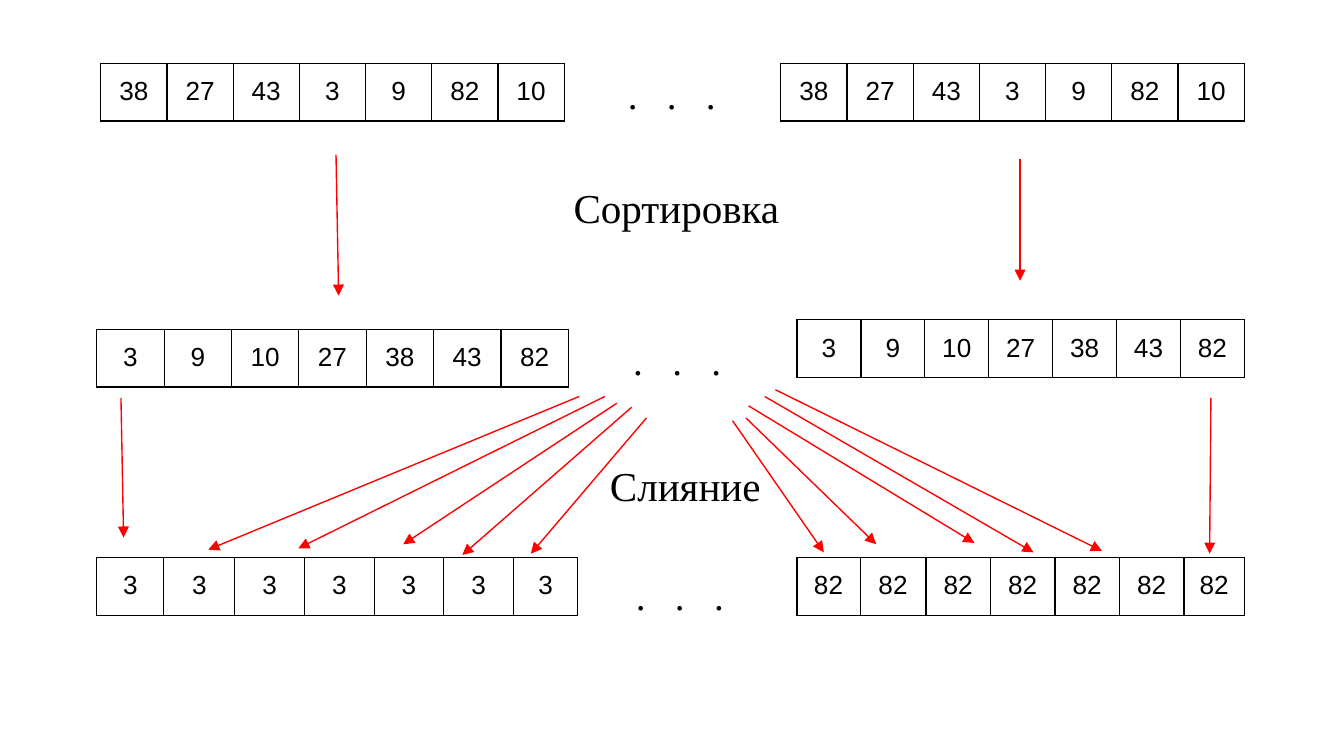
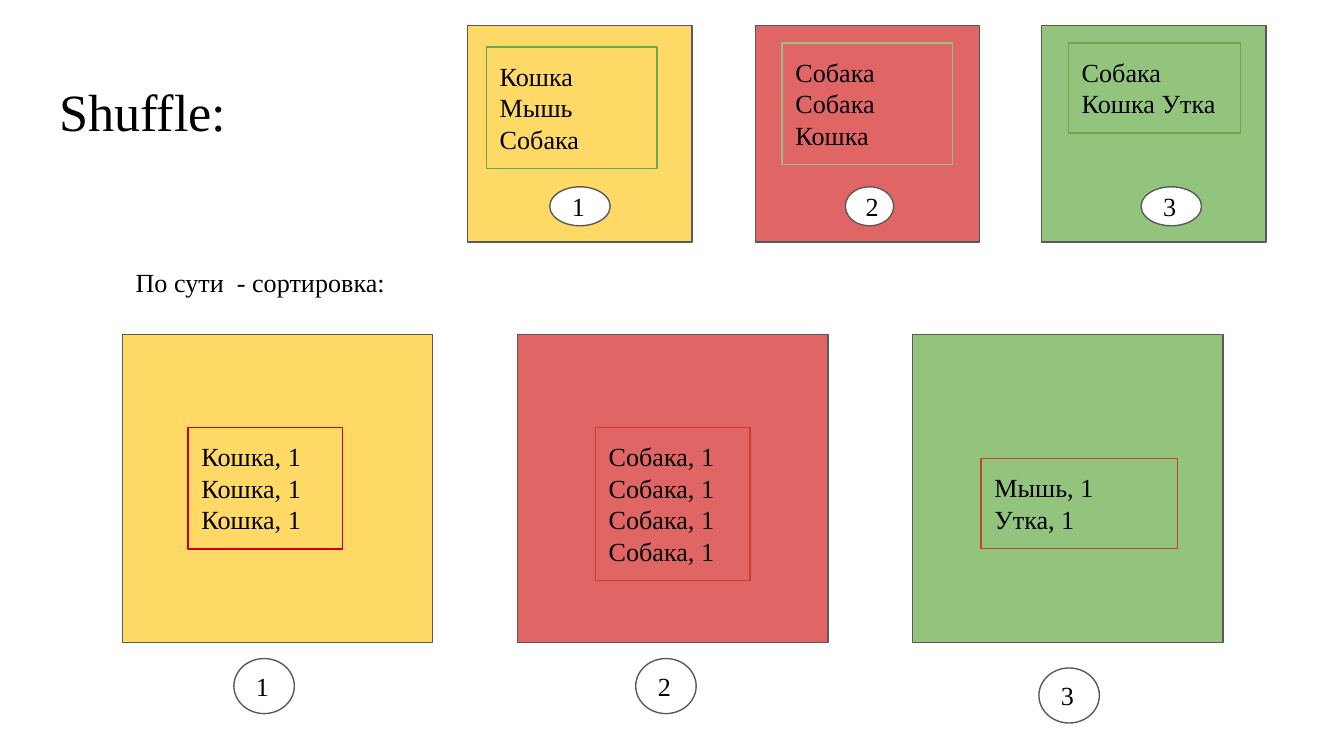
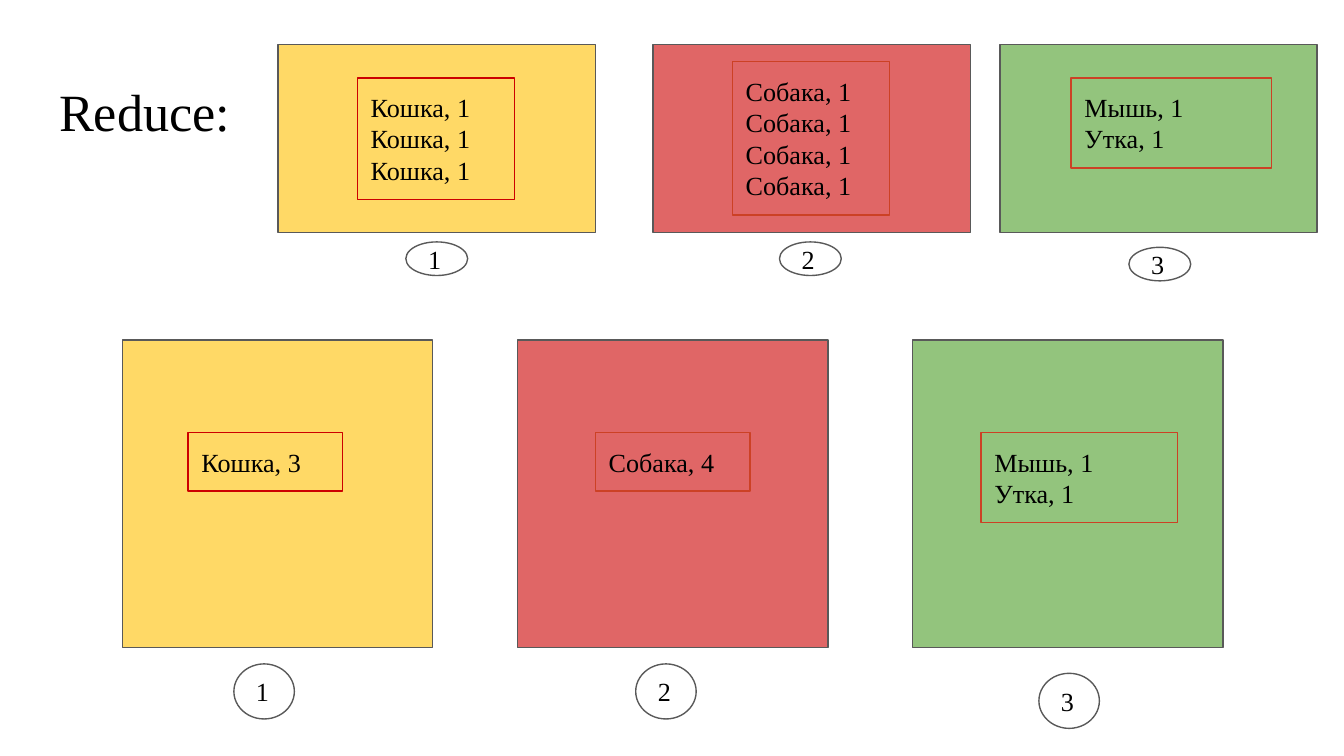
from lxml import etree
from pptx import Presentation
from pptx.dml.color import RGBColor
from pptx.enum.shapes import MSO_CONNECTOR, MSO_SHAPE
from pptx.enum.text import MSO_ANCHOR, MSO_AUTO_SIZE as FIT, PP_ALIGN as ALIGN
from pptx.oxml.ns import qn
from pptx.util import Inches, Pt

# Theme: colours, fonts, sizes and common measures
THEME = dict(
    ink="000000", paper="FFFFFF", edge="595959", arrow="FF0000",
    panels=("FFD966", "E06666", "93C47D"),
    word_edges=("6AA84F", "93C47D", "6AA84F"),
    pair_edges=("CC0000", "CC4125", "CC4125"),
    serif="Times New Roman", sans="Arial",
    title=28, stage=22, dots=21, body=14,
    line=0.75, inset=0.1, line_height=0.235,
)
TITLE_BOX = (0.34, 0.49, 9.32, 0.63)

# Slide 1: arrays, stage names and arrows
UNSORTED = [38, 27, 43, 3, 9, 82, 10]
SORTED = sorted(UNSORTED)
EVEN = [1] * 7
ARRAYS = [  # left, top, width, values, column weights
    (0.75, 0.47, 3.45, UNSORTED, EVEN),
    (5.81, 0.47, 3.45, UNSORTED, EVEN),
    (0.72, 2.45, 3.51, SORTED, EVEN),
    (5.93, 2.38, 3.33, SORTED, EVEN),
    (0.72, 4.15, 3.58, [3] * 7, [50, 53, 52, 52, 52, 52, 48]),
    (5.93, 4.15, 3.33, [82] * 7, [47, 49, 48, 48, 48, 48, 45]),
]
ROW_HEIGHT = 0.43
DOTS = [(4.42, 0.42), (4.46, 2.4), (4.48, 4.15)]
STAGES = [("Сортировка", (4.17, 1.26, 1.76, 0.57)),
          ("Слияние", (4.44, 3.33, 1.35, 0.57))]
SORT_ARROWS = [(2.5, 1.15, 2.52, 2.2), (7.59, 1.18, 7.59, 2.09)]
MERGE_ARROWS = [
    (0.9, 2.96, 0.92, 4), (4.31, 2.95, 1.55, 4.09), (4.5, 2.95, 2.22, 4.08),
    (4.59, 3, 3, 4.05), (4.7, 3.03, 3.44, 4.13), (4.81, 3.11, 3.95, 4.12),
    (5.45, 3.13, 6.13, 4.11), (5.55, 3.11, 6.52, 4.05), (5.57, 3.02, 7.25, 4.04),
    (5.69, 2.95, 7.69, 4.11), (5.77, 2.9, 8.2, 4.1), (9.01, 2.96, 9, 4.12),
]

# Slides 2 and 3: rows of panels; list and badge places are offsets in a panel
WORDS = [["Кошка Мышь Собака"], ["Собака Собака Кошка"], ["Собака Кошка Утка"]]
PAIRS = [["Кошка, 1"] * 3, ["Собака, 1"] * 4, ["Мышь, 1", "Утка, 1"]]
TOTALS = [["Кошка, 3"], ["Собака, 4"], ["Мышь, 1", "Утка, 1"]]

INPUT_ROW = dict(
    lefts=(3.48, 5.62, 7.75), size=(1.67, 1.61), edges=THEME["word_edges"],
    lists=[(0.14, 0.16, 1.27), (0.2, 0.13, 1.27), (0.2, 0.13, 1.28)],
    badges=[(0.61, 1.2, 0.45, 0.29), (0.67, 1.2, 0.36, 0.29), (0.74, 1.2, 0.45, 0.29)],
)
PAIR_ROW = dict(
    lefts=(2.07, 4.86, 7.44), size=(2.36, 1.4), edges=THEME["pair_edges"],
    lists=[(0.59, 0.25, 1.17), (0.59, 0.13, 1.17), (0.53, 0.25, 1.49)],
    badges=[(0.95, 1.47, 0.46, 0.25), (0.94, 1.47, 0.46, 0.25), (0.96, 1.51, 0.46, 0.25)],
)
RESULT_ROW = dict(
    lefts=(0.91, 3.85, 6.79), size=(2.31, 2.29), edges=THEME["pair_edges"],
    lists=[(0.49, 0.69, 1.15), (0.58, 0.69, 1.15), (0.51, 0.69, 1.46)],
    badges=[(0.83, 2.41, 0.45, 0.41), (0.88, 2.41, 0.45, 0.41), (0.94, 2.48, 0.45, 0.41)],
)
# The third list of the shuffle result sits lower in its panel
SHUFFLE_ROW = dict(RESULT_ROW, lists=RESULT_ROW["lists"][:2] + [(0.51, 0.92, 1.46)])

PANEL_SLIDES = [  # title, caption, rows of (layout, top, texts, lines per list)
    ("Shuffle:", ("По сути  - сортировка:", (0.91, 1.88, 2.18, 0.44)),
     [(SHUFFLE_ROW, 2.49, PAIRS, (3, 4, 2)), (INPUT_ROW, 0.19, WORDS, (3, 3, 2))]),
    ("Reduce:", None,
     [(RESULT_ROW, 2.53, TOTALS, (1, 1, 2)), (PAIR_ROW, 0.33, PAIRS, (3, 4, 2))]),
]


# Helpers
def rgb(name):
    return RGBColor.from_string(THEME.get(name, name))


def inches(box):
    return [Inches(v) for v in box]


def add_line(p, text, size, font, align):
    p.alignment = align
    r = p.add_run()
    r.text = str(text)
    for name, value in dict(name=THEME[font], size=Pt(THEME[size]), bold=False).items():
        setattr(r.font, name, value)
    r.font.color.rgb = rgb("ink")
    return r


def write(tf, lines, size="body", align=ALIGN.LEFT, spacing=None, **frame):
    inset = Inches(THEME["inset"])
    settings = dict(word_wrap=True, vertical_anchor=MSO_ANCHOR.TOP, margin_left=inset,
                    margin_right=inset, margin_top=inset, margin_bottom=inset)
    for name, value in {**settings, **frame}.items():
        setattr(tf, name, value)
    for i, line in enumerate(lines):
        p = tf.paragraphs[0] if i == 0 else tf.add_paragraph()
        r = add_line(p, line, size, "serif", align)
        if spacing:
            r.font._element.set("spc", str(spacing))


def add_label(s, text, box, **style):
    tf = s.shapes.add_textbox(*inches(box)).text_frame
    write(tf, [text], auto_size=FIT.SHAPE_TO_FIT_TEXT, **style)


def add_outline(s, kind, box, edge, fill=None):
    sp = s.shapes.add_shape(kind, *inches(box))
    sp.shadow.inherit = False
    if fill:
        sp.fill.solid()
        sp.fill.fore_color.rgb = rgb(fill)
    else:
        sp.fill.background()
    sp.line.color.rgb = rgb(edge)
    sp.line.width = Pt(THEME["line"])
    return sp


def add_arrow(s, ends):
    c = s.shapes.add_connector(MSO_CONNECTOR.STRAIGHT, *inches(ends))
    c.line.color.rgb = rgb("arrow")
    c.line.width = Pt(THEME["line"])
    etree.SubElement(c.line._get_or_add_ln(), qn("a:tailEnd"), type="triangle")
    etree.SubElement(c._element.spPr, qn("a:effectLst"))


def add_borders(cell):
    tc_pr = cell._tc.get_or_add_tcPr()
    for i, side in enumerate("LRTB"):
        ln = etree.Element(qn(f"a:ln{side}"), w=str(Pt(THEME["line"])))
        fill = etree.SubElement(ln, qn("a:solidFill"))
        etree.SubElement(fill, qn("a:srgbClr"), val=THEME["ink"])
        tc_pr.insert(i, ln)


def add_array(s, left, top, width, values, weights):
    box = inches((left, top, width, ROW_HEIGHT))
    table = s.shapes.add_table(1, len(values), *box).table
    table.first_row = table.horz_banding = False
    for i, (value, weight) in enumerate(zip(values, weights)):
        table.columns[i].width = Inches(width * weight / sum(weights))
        cell = table.cell(0, i)
        cell.fill.background()
        add_borders(cell)
        for side in ("left", "right", "top", "bottom"):
            setattr(cell, f"margin_{side}", Inches(THEME["inset"]))
        cell.vertical_anchor = MSO_ANCHOR.TOP
        add_line(cell.text_frame.paragraphs[0], value, "body", "sans", ALIGN.CENTER)


def add_panel_row(s, row, top, texts, line_counts):
    for left, color in zip(row["lefts"], THEME["panels"]):
        add_outline(s, MSO_SHAPE.RECTANGLE, (left, top, *row["size"]), "edge", color)
    parts = zip(row["lefts"], row["lists"], row["edges"], texts, line_counts)
    for left, (dx, dy, width), edge, lines, count in parts:
        height = 2 * THEME["inset"] + count * THEME["line_height"]
        sp = add_outline(s, MSO_SHAPE.RECTANGLE, (left + dx, top + dy, width, height), edge)
        write(sp.text_frame, lines, auto_size=FIT.SHAPE_TO_FIT_TEXT)
    for number, (left, (dx, dy, *size)) in enumerate(zip(row["lefts"], row["badges"]), 1):
        sp = add_outline(s, MSO_SHAPE.OVAL, (left + dx, top + dy, *size), "edge", "paper")
        write(sp.text_frame, [number], vertical_anchor=MSO_ANCHOR.MIDDLE)


# Slides
def build_sorting(prs):
    s = prs.slides.add_slide(prs.slide_layouts[6])
    for array in ARRAYS:
        add_array(s, *array)
    for place in DOTS:
        add_label(s, ". . .", (*place, 1.16, 0.56), size="dots",
                  align=ALIGN.CENTER, spacing=525)
    for text, box in STAGES:
        add_label(s, text, box, size="stage", align=ALIGN.JUSTIFY)
    for ends in SORT_ARROWS + MERGE_ARROWS:
        add_arrow(s, ends)


def build_panels(prs, title, caption, rows):
    s = prs.slides.add_slide(prs.slide_layouts[5])
    sp = s.shapes.title
    for name, value in zip(("left", "top", "width", "height"), inches(TITLE_BOX)):
        setattr(sp, name, value)
    write(sp.text_frame, [title], size="title", auto_size=FIT.NONE)
    if caption:
        add_label(s, *caption)
    for row in rows:
        add_panel_row(s, *row)


def main():
    prs = Presentation()
    # Widescreen, 16:9
    prs.slide_width = Inches(10)
    prs.slide_height = Inches(10 * 9 / 16)
    build_sorting(prs)
    for content in PANEL_SLIDES:
        build_panels(prs, *content)
    prs.save("out.pptx")


if __name__ == "__main__":
    main()
